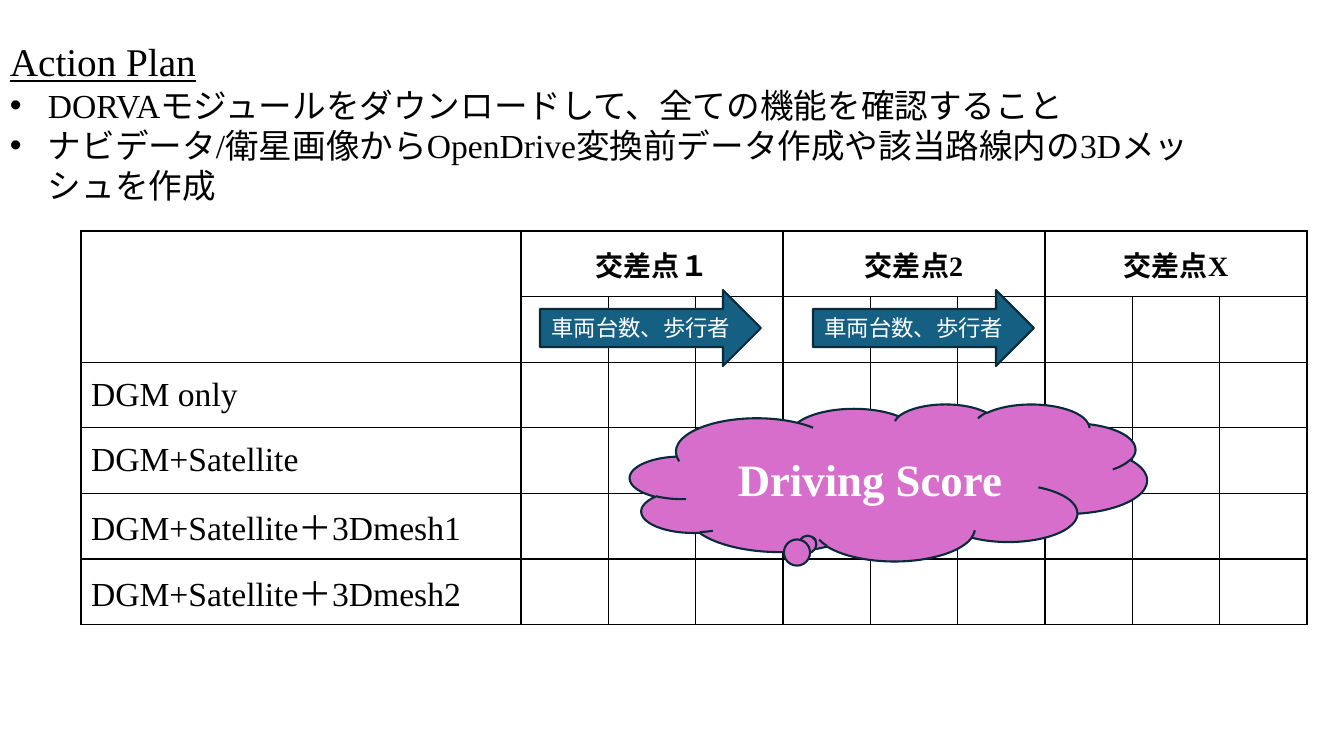
import pptx
import pptx.util
import pptx.dml.color
import pptx.enum.shapes
import pptx.enum.text
import pptx.enum.lang
import pptx.oxml
import pptx.oxml.ns

COLORS = {"ink": "000000", "paper": "FFFFFF", "arrow": "156082",
          "outline": "092A39", "cloud": "D86ECC"}
SERIF, GOTHIC = "Times New Roman", "Noto Sans CJK JP"
HEADING = "Action Plan"
ACTIONS = [
    "DORVAモジュールをダウンロードして、全ての機能を確認すること",
    "ナビデータ/衛星画像からOpenDrive変換前データ作成や該当路線内の3Dメッシュを作成",
]
INTERSECTIONS = ["交差点１", "交差点2", "交差点X"]
CONDITIONS = ["DGM only", "DGM+Satellite", "DGM+Satellite＋3Dmesh1", "DGM+Satellite＋3Dmesh2"]
LANES = 3
HEADER_ROWS = 2
TRAFFIC = "車両台数、歩行者"
SCORE = "Driving Score"

PLAN_BOX = (0, 9, 1260, 163)
GRID_LEFT, GRID_TOP = 81, 231
LABEL_WIDTH, LANE_WIDTH, ROW_HEIGHT = 440, 87.35, 65.6
ARROW_LEFT, ARROW_TOP, ARROW_STEP = 540, 290, 273
ARROW_SIZE = (221, 76)
ARROW_COUNT = 2
CLOUD_BOX = (630, 404, 517, 157)
CLOUD_TAIL = (-0.149, 0.376)

FORMATS = {
    "heading": {"size": pptx.util.Pt(28), "name": SERIF, "underline": True},
    "action": {"size": pptx.util.Pt(24), "name": SERIF},
    "intersection": {"size": pptx.util.Pt(20), "name": SERIF, "bold": True},
    "condition": {"size": pptx.util.Pt(24), "name": SERIF, "bold": False},
    "traffic": {"size": pptx.util.Pt(16), "name": GOTHIC},
    "score": {"size": pptx.util.Pt(32), "name": SERIF, "bold": True},
}
CENTER = pptx.enum.text.PP_ALIGN.CENTER
LEFT = pptx.enum.text.PP_ALIGN.LEFT
MIDDLE = pptx.enum.text.MSO_ANCHOR.MIDDLE
SHAPES = pptx.enum.shapes.MSO_SHAPE


def px(length):
    return pptx.util.Emu(round(length * 914400 / 100.8))


def rgb(name):
    return pptx.dml.color.RGBColor.from_string(COLORS[name])


def add_xml(parent, tag, **attributes):
    child = parent.makeelement(pptx.oxml.ns.qn(tag), attributes)
    parent.append(child)
    return child


def write(paragraph, text, style, color="ink", align=LEFT):
    paragraph.alignment = align
    run = paragraph.add_run()
    run.text = text
    for attribute, value in FORMATS[style].items():
        setattr(run.font, attribute, value)
    run.font.color.rgb = rgb(color)
    run.font.language_id = pptx.enum.lang.MSO_LANGUAGE_ID.JAPANESE
    if FORMATS[style]["name"] == GOTHIC:
        add_xml(run.font._element, "a:ea", typeface=GOTHIC)


def add_plan(slide):
    frame = slide.shapes.add_textbox(*map(px, PLAN_BOX)).text_frame
    frame.word_wrap = True
    heading = frame.paragraphs[0]
    heading.line_spacing = 1.5
    write(heading, HEADING, "heading")
    for action in ACTIONS:
        paragraph = frame.add_paragraph()
        write(paragraph, action, "action")
        properties = paragraph._p.get_or_add_pPr()
        properties.set("marL", str(px(38)))
        properties.set("indent", str(-px(38)))
        add_xml(properties, "a:buFont", typeface="Arial")
        add_xml(properties, "a:buChar", char="•")


def add_borders(cell):
    properties = cell._tc.get_or_add_tcPr()
    for position, side in enumerate(("a:lnL", "a:lnR", "a:lnT", "a:lnB")):
        border = add_xml(properties, side, w=str(pptx.util.Pt(1)))
        add_xml(add_xml(border, "a:solidFill"), "a:srgbClr", val=COLORS["ink"])
        properties.insert(position, border)


def add_grid(slide):
    rows = HEADER_ROWS + len(CONDITIONS)
    lanes = LANES * len(INTERSECTIONS)
    box = (GRID_LEFT, GRID_TOP, LABEL_WIDTH + lanes * LANE_WIDTH, rows * ROW_HEIGHT)
    grid = slide.shapes.add_table(rows, lanes + 1, *map(px, box)).table
    grid.first_row = grid.horz_banding = False
    for index, column in enumerate(grid.columns):
        column.width = px(LANE_WIDTH if index else LABEL_WIDTH)
    for row in grid.rows:
        row.height = px(ROW_HEIGHT)
    for cell in grid.iter_cells():
        cell.fill.background()
        cell.vertical_anchor = MIDDLE
        add_borders(cell)
    grid.cell(0, 0).merge(grid.cell(HEADER_ROWS - 1, 0))
    for index, intersection in enumerate(INTERSECTIONS):
        first = 1 + index * LANES
        header = grid.cell(0, first)
        header.merge(grid.cell(0, first + LANES - 1))
        write(header.text_frame.paragraphs[0], intersection, "intersection", align=CENTER)
    for row, condition in enumerate(CONDITIONS, HEADER_ROWS):
        write(grid.cell(row, 0).text_frame.paragraphs[0], condition, "condition")


def add_callout(slide, kind, box, fill, text, style):
    callout = slide.shapes.add_shape(kind, *map(px, box))
    callout.shadow.inherit = False
    callout.fill.solid()
    callout.fill.fore_color.rgb = rgb(fill)
    callout.line.color.rgb = rgb("outline")
    callout.line.width = pptx.util.Pt(1.5)
    callout.text_frame.word_wrap = True
    callout.text_frame.vertical_anchor = MIDDLE
    write(callout.text_frame.paragraphs[0], text, style, "paper", CENTER)
    return callout


def main():
    deck = pptx.Presentation()
    deck.slide_width, deck.slide_height = px(1344), px(756)
    slide = deck.slides.add_slide(deck.slide_layouts[6])
    add_plan(slide)
    add_grid(slide)
    for index in range(ARROW_COUNT):
        box = (ARROW_LEFT + index * ARROW_STEP, ARROW_TOP, *ARROW_SIZE)
        add_callout(slide, SHAPES.RIGHT_ARROW, box, "arrow", TRAFFIC, "traffic")
    cloud = add_callout(slide, SHAPES.CLOUD_CALLOUT, CLOUD_BOX, "cloud", SCORE, "score")
    for index, offset in enumerate(CLOUD_TAIL):
        cloud.adjustments[index] = offset
    deck.save("out.pptx")


if __name__ == "__main__":
    main()
